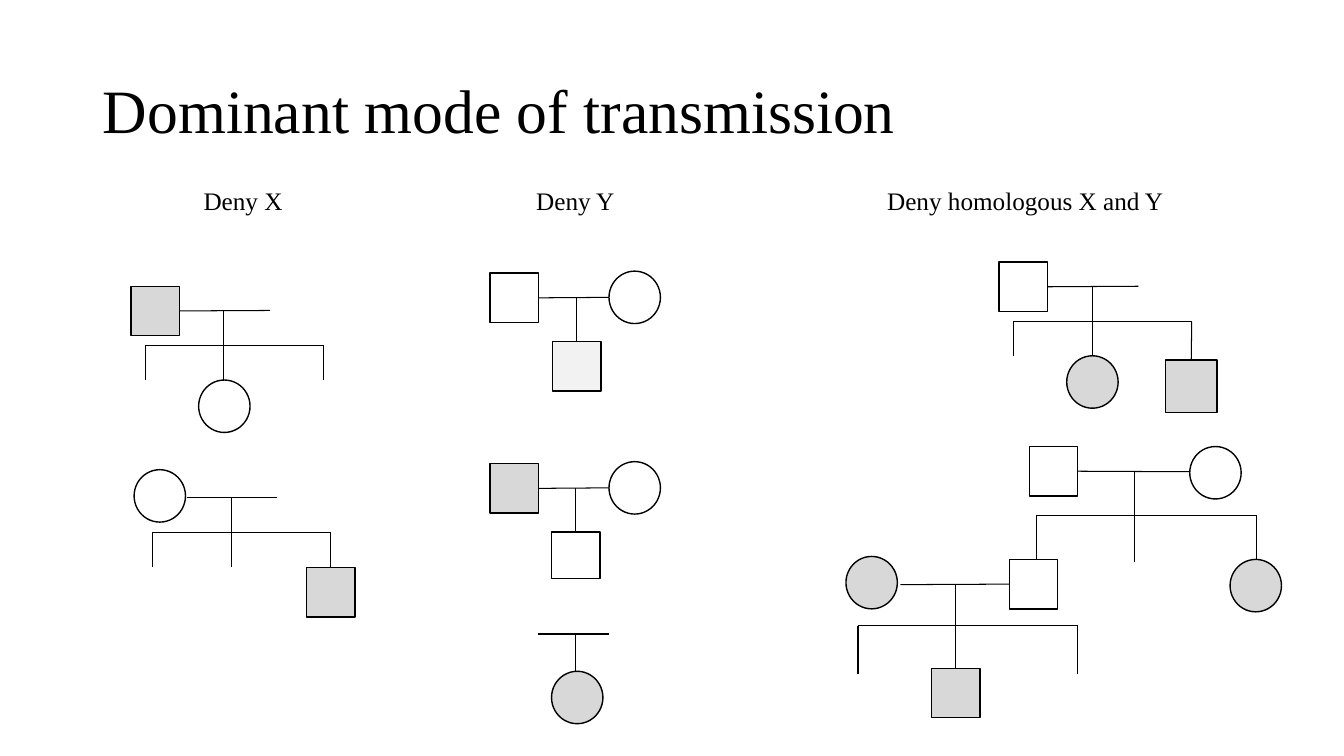
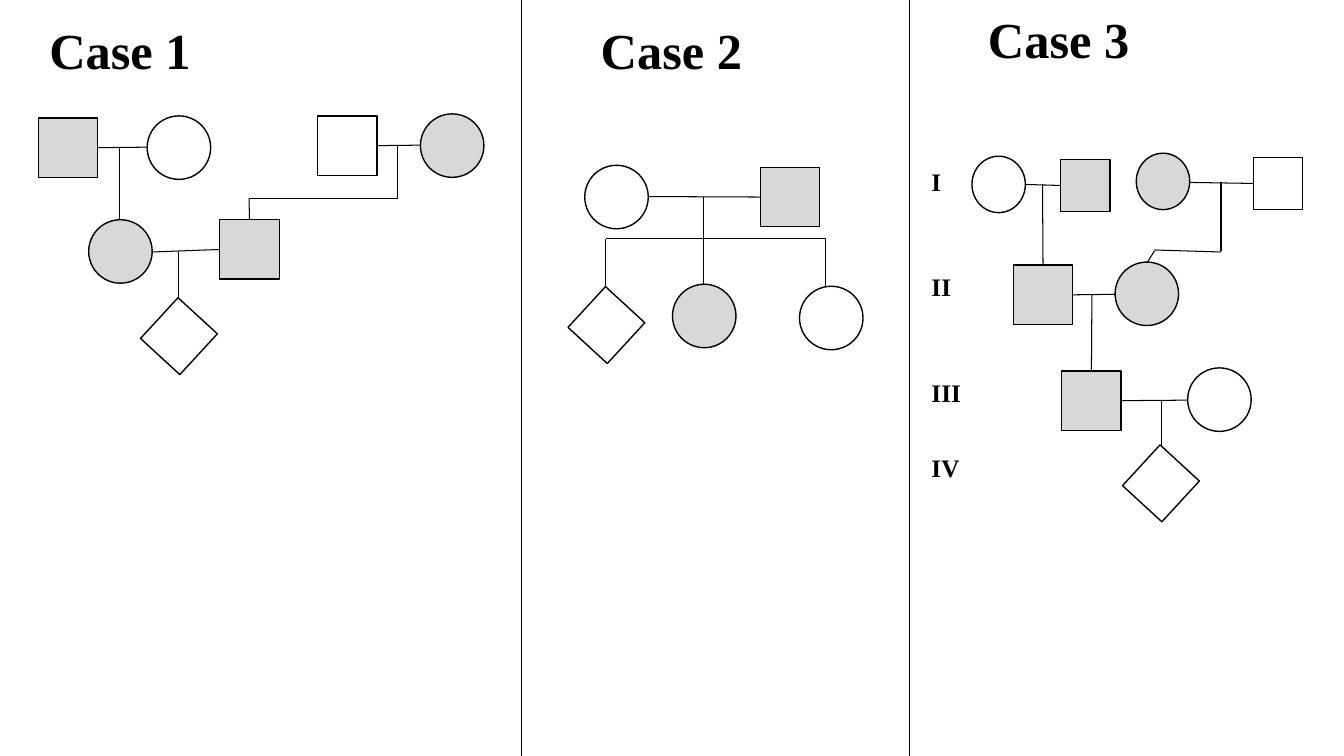
from dataclasses import dataclass
from typing import NamedTuple

from lxml import etree
from pptx import Presentation
from pptx.dml.color import RGBColor
from pptx.enum.shapes import MSO_CONNECTOR, MSO_SHAPE
from pptx.enum.text import MSO_ANCHOR, MSO_AUTO_SIZE, PP_ALIGN
from pptx.oxml.ns import qn
from pptx.util import Emu, Pt

PX = 9144  # 100 px to the inch
WIDTH, HEIGHT = 1333, 750
FONT = "Times New Roman"

BLACK = RGBColor(0x00, 0x00, 0x00)
CLEAR = RGBColor(0xFF, 0xFF, 0xFF)
FAINT = RGBColor(0xF2, 0xF2, 0xF2)
AFFECTED = RGBColor(0xD8, 0xD8, 0xD8)

RECT = MSO_SHAPE.RECTANGLE
OVAL = MSO_SHAPE.OVAL
STRAIGHT = MSO_CONNECTOR.STRAIGHT
MIDDLE = MSO_ANCHOR.MIDDLE
LEFT = PP_ALIGN.LEFT
FIT_SHAPE = MSO_AUTO_SIZE.SHAPE_TO_FIT_TEXT


class Symbol(NamedTuple):
    shape: int
    w: int
    h: int
    rotation: float = 0


MALE = Symbol(RECT, 48, 49)
LOW_MALE = Symbol(RECT, 48, 46)
WIDE_MALE = Symbol(RECT, 51, 52)
FEMALE = Symbol(OVAL, 51, 52)
MID_MALE = Symbol(RECT, 49, 52)
MID_FEMALE = Symbol(OVAL, 53, 56)
BIG_MALE = Symbol(RECT, 59, 59)
BIG_FEMALE = Symbol(OVAL, 63, 63)
UNKNOWN = Symbol(RECT, 53, 55, 42.6)


class Person(NamedTuple):
    symbol: Symbol
    x: int
    y: int
    fill: RGBColor = CLEAR


class Link(NamedTuple):
    x1: int
    y1: int
    x2: int
    y2: int


class Label(NamedTuple):
    text: str
    x: int
    y: int
    w: int
    h: int
    size: int = 18
    bold: bool = False


@dataclass(frozen=True)
class Family:
    """Couple line at y with a drop to end, or to a bar whose legs reach end."""
    left: int
    right: int
    y: int
    drop: int
    end: int
    bar: int | None = None
    legs: tuple[int, ...] = ()

    def links(self) -> list[Link]:
        couple = Link(self.left, self.y, self.right, self.y)
        if self.bar is None:
            return [couple, Link(self.drop, self.y, self.drop, self.end)]
        xs = (self.drop, *self.legs)
        return [couple,
                Link(self.drop, self.y, self.drop, self.bar),
                Link(min(xs), self.bar, max(xs), self.bar),
                *(Link(x, self.bar, x, self.end) for x in self.legs)]


@dataclass(frozen=True)
class Chart:
    labels: list[Label]
    families: list[Family]
    people: list[Person]
    extra_links: tuple[Link, ...] = ()


DOMINANT = Chart(
    labels=[
        Label("Deny X", 192, 179, 231, 40),
        Label("Deny Y", 522, 179, 231, 40),
        Label("Deny homologous X and Y", 870, 179, 312, 40),
    ],
    families=[
        Family(178, 268, 308, 222, 377, 343, (144, 222, 321)),
        Family(185, 275, 494, 230, 563, 528, (151, 230, 328)),
        Family(534, 604, 295, 572, 339),
        Family(534, 604, 484, 571, 528),
        Family(534, 604, 629, 571, 668),
        Family(1039, 1129, 284, 1084, 353, 319, (1005, 1084, 1182)),
        Family(1069, 1180, 468, 1125, 558, 511, (1028, 1125, 1246)),
        Family(893, 1001, 580, 948, 669, 621, (851, 948, 1069)),
    ],
    people=[
        Person(MALE, 130, 284, AFFECTED),
        Person(FEMALE, 197, 377),
        Person(FEMALE, 133, 466),
        Person(MALE, 304, 563, AFFECTED),
        Person(MALE, 486, 271),
        Person(FEMALE, 604, 269),
        Person(MALE, 548, 339, FAINT),
        Person(MALE, 486, 460, AFFECTED),
        Person(FEMALE, 604, 458),
        Person(LOW_MALE, 547, 528),
        Person(FEMALE, 547, 666, AFFECTED),
        Person(MALE, 991, 260),
        Person(FEMALE, 1058, 353, AFFECTED),
        Person(WIDE_MALE, 1156, 357, AFFECTED),
        Person(MALE, 1021, 443),
        Person(FEMALE, 1180, 443),
        Person(MALE, 1001, 555),
        Person(FEMALE, 1220, 555, AFFECTED),
        Person(FEMALE, 839, 552, AFFECTED),
        Person(MALE, 924, 663, AFFECTED),
    ],
)

CASES = Chart(
    labels=[
        Label("Case 1", 39, 14, 238, 71, 36, True),
        Label("Case 2", 586, 14, 238, 71, 36, True),
        Label("Case 3", 970, 3, 238, 71, 36, True),
        Label("I", 914, 160, 30, 40, bold=True),
        Label("II", 914, 264, 40, 40, bold=True),
        Label("III", 914, 369, 50, 40, bold=True),
        Label("IV", 914, 444, 48, 40, bold=True),
    ],
    families=[
        Family(97, 146, 146, 119, 218),
        Family(374, 417, 144, 394, 218, 197, (247,)),
        Family(151, 218, 250, 177, 295),
        Family(643, 754, 195, 698, 284, 237, (601, 698, 819)),
        Family(1017, 1052, 183, 1034, 263),
        Family(1180, 1243, 181, 1211, 249),
        Family(1064, 1106, 292, 1083, 368),
        Family(1112, 1178, 397, 1152, 441),
    ],
    people=[
        Person(BIG_MALE, 38, 117, AFFECTED),
        Person(BIG_FEMALE, 146, 115),
        Person(BIG_MALE, 315, 115),
        Person(BIG_FEMALE, 417, 113, AFFECTED),
        Person(BIG_FEMALE, 88, 218, AFFECTED),
        Person(BIG_MALE, 218, 218, AFFECTED),
        Person(UNKNOWN, 151, 306),
        Person(BIG_FEMALE, 580, 164),
        Person(BIG_MALE, 754, 166, AFFECTED),
        Person(UNKNOWN, 575, 295),
        Person(BIG_FEMALE, 667, 282, AFFECTED),
        Person(BIG_FEMALE, 793, 284),
        Person(MID_FEMALE, 964, 155),
        Person(MID_MALE, 1052, 158, AFFECTED),
        Person(MID_FEMALE, 1127, 152, AFFECTED),
        Person(MID_MALE, 1243, 156),
        Person(BIG_MALE, 1005, 263, AFFECTED),
        Person(BIG_FEMALE, 1106, 260, AFFECTED),
        Person(BIG_MALE, 1053, 368, AFFECTED),
        Person(BIG_FEMALE, 1178, 365),
        Person(UNKNOWN, 1125, 452),
    ],
    extra_links=(
        Link(517, 0, 517, HEIGHT),
        Link(902, 0, 902, HEIGHT),
        Link(1211, 250, 1145, 248),
        Link(1145, 249, 1138, 260),
    ),
)


def px(n: int) -> Emu:
    return Emu(n * PX)


def add_run(p, text: str, size: int, bold: bool = False) -> None:
    r = p.add_run()
    r.text = text
    r.font.name = FONT
    r.font.size = Pt(size)
    r.font.bold = bold
    r.font.color.rgb = BLACK


def add_label(slide, label: Label) -> None:
    sp = slide.shapes.add_textbox(px(label.x), px(label.y), px(label.w), px(label.h))
    tf = sp.text_frame
    tf.word_wrap = True
    tf.auto_size = FIT_SHAPE
    add_run(tf.paragraphs[0], label.text, label.size, label.bold)


def add_link(slide, link: Link):
    sp = slide.shapes.add_connector(STRAIGHT, *(px(n) for n in link))
    sp.line.color.rgb = BLACK
    sp.line.width = Pt(0.75)
    etree.SubElement(sp._element.spPr, qn("a:effectLst"))
    return sp


def add_person(slide, person: Person):
    symbol = person.symbol
    sp = slide.shapes.add_shape(symbol.shape, px(person.x), px(person.y),
                                px(symbol.w), px(symbol.h))
    sp.rotation = symbol.rotation
    sp.shadow.inherit = False
    sp.fill.solid()
    sp.fill.fore_color.rgb = person.fill
    sp.line.color.rgb = BLACK
    sp.line.width = Pt(1)
    return sp


def join(link, square) -> None:
    """Connect each link end that lies at the middle of a side of the square."""
    mid_x, mid_y = square.left + square.width / 2, square.top + square.height / 2
    right, bottom = square.left + square.width, square.top + square.height
    sides = ((mid_x, square.top), (square.left, mid_y), (mid_x, bottom), (right, mid_y))
    ends = ((link.begin_x, link.begin_y, link.begin_connect),
            (link.end_x, link.end_y, link.end_connect))
    for x, y, connect in ends:
        for site, (side_x, side_y) in enumerate(sides):
            if abs(x - side_x) <= px(2) and abs(y - side_y) <= px(6):
                connect(square, site)


def add_chart(slide, chart: Chart) -> None:
    for label in chart.labels:
        add_label(slide, label)
    family_links = [link for family in chart.families for link in family.links()]
    links = [add_link(slide, link) for link in (*family_links, *chart.extra_links)]
    for person in chart.people:
        sp = add_person(slide, person)
        if person.symbol.shape == RECT and not person.symbol.rotation:
            for link in links:
                join(link, sp)


def add_title(slide, text: str) -> None:
    sp = slide.shapes.title
    sp.left, sp.top, sp.width, sp.height = px(92), px(40), px(1150), px(145)
    sp.text_frame.vertical_anchor = MIDDLE
    p = sp.text_frame.paragraphs[0]
    p.alignment = LEFT
    p.line_spacing = 0.9
    add_run(p, text, 44)


def main() -> None:
    prs = Presentation()
    prs.slide_width, prs.slide_height = px(WIDTH), px(HEIGHT)
    title_only, blank = prs.slide_layouts[5], prs.slide_layouts[6]

    slide = prs.slides.add_slide(title_only)
    add_title(slide, "Dominant mode of transmission")
    add_chart(slide, DOMINANT)

    add_chart(prs.slides.add_slide(blank), CASES)
    prs.save("out.pptx")


if __name__ == "__main__":
    main()
